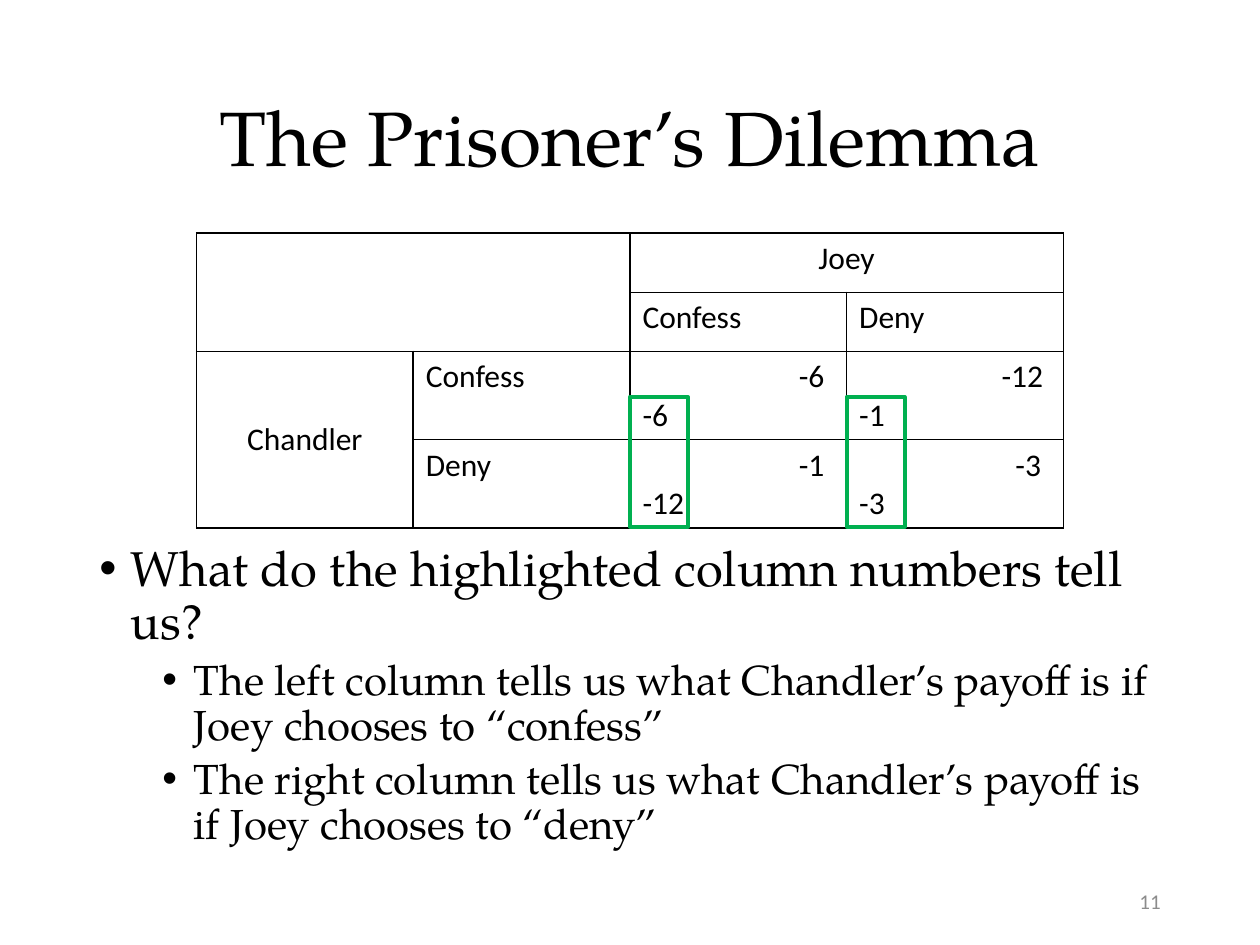
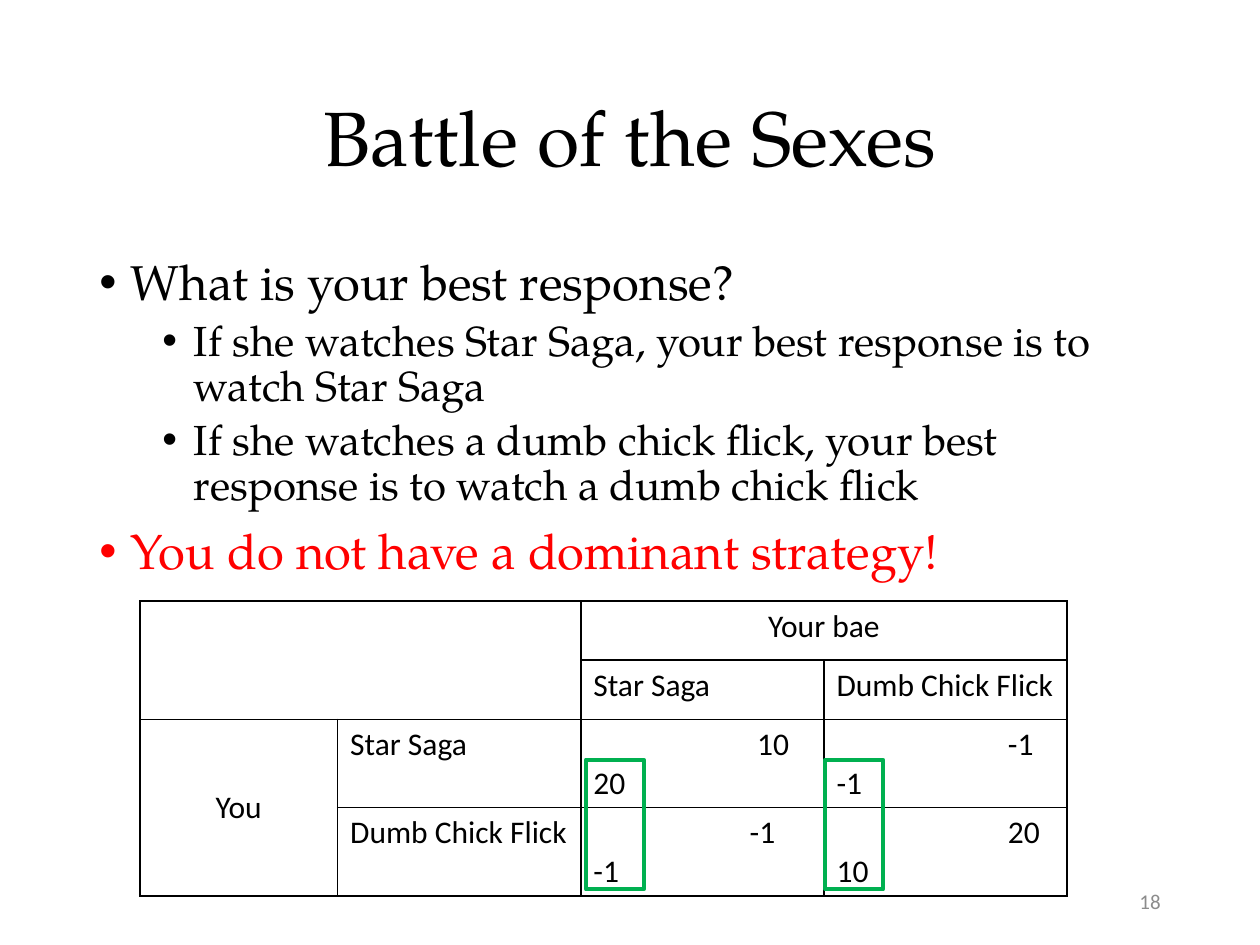
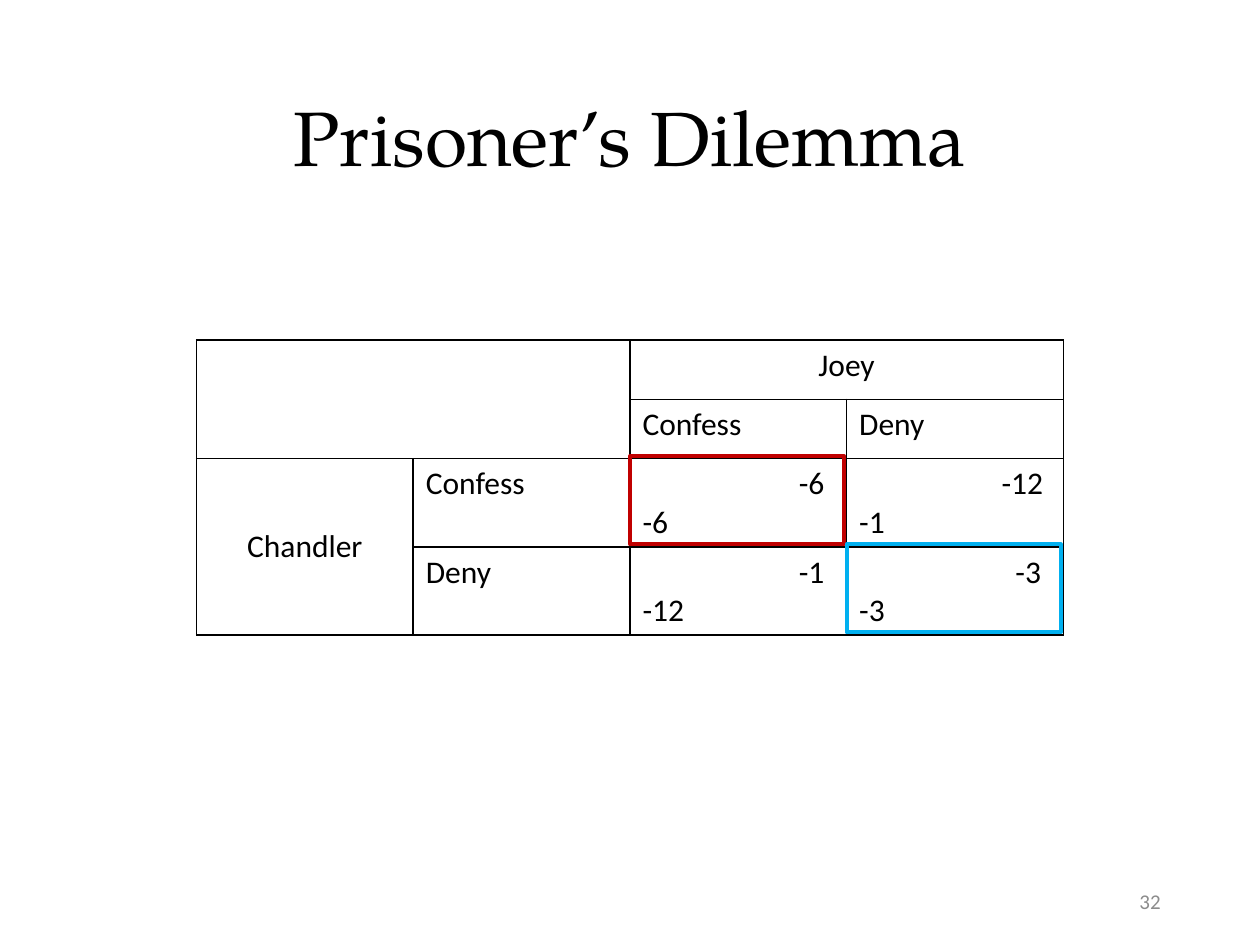
from lxml import etree
from pptx import Presentation
from pptx.dml.color import RGBColor
from pptx.enum.shapes import MSO_SHAPE
from pptx.enum.text import MSO_ANCHOR, PP_ALIGN
from pptx.oxml.ns import qn
from pptx.util import Inches, Pt

LEFT, CENTER, RIGHT = PP_ALIGN.LEFT, PP_ALIGN.CENTER, PP_ALIGN.RIGHT
TOP, MIDDLE = MSO_ANCHOR.TOP, MSO_ANCHOR.MIDDLE
RECTANGLE = MSO_SHAPE.RECTANGLE

# Shared look
SERIF, SANS = "TeX Gyre Pagella", "Calibri"
BLACK, GRAY, RED = "000000", "8C8C8C", "FF0000"
GREEN, DARK_RED, SKY = "00B050", "C00000", "00B0F0"
WIDTH, HEIGHT = 10, 7.5
MARGIN = 0.69
CONTENT_WIDTH = WIDTH - 2 * MARGIN
BODY_BOTTOM = 6.76
ROW_HEIGHTS = [0.47, 0.47, 0.67, 0.67]
# Text size and space before, by bullet level
LEVELS = [(28, 10), (24, 5)]

# Payoffs: (column player's, its indent, row player's)
PRISONERS = {
    "players": ("Chandler", "Joey"),
    "choices": ("Confess", "Deny"),
    "payoffs": [[("-6", 1.24, "-6"), ("-12", 1.13, "-1")],
                [("-1", 1.24, "-12"), ("-3", 1.24, "-3")]],
    "left": 1.56,
    "columns": [1.72, 1.72, 1.72, 1.72],
}
MOVIES = {
    "players": ("You", "Your bae"),
    "choices": ("Star Saga", "Dumb Chick Flick"),
    "payoffs": [[("10", 1.3, "20"), ("-1", 1.36, "-1")],
                [("-1", 1.24, "-1"), ("20", 1.36, "10")]],
    "left": 1.11,
    "columns": [1.57, 1.93, 1.93, 1.93],
}

COLUMN_MARK = (0.46, 1.03)
CELL_MARK = (1.7, 0.7)

# Bullets: (level, text, colour); marks: (column, inset, drop, size, colour)
SLIDES = [
    {
        "title": "The Prisoner’s Dilemma",
        "number": 11,
        "body_top": 4.27,
        "bullets": [
            (0, "What do the highlighted column numbers tell us?", BLACK),
            (1, "The left column tells us what Chandler’s payoff is if Joey "
                "chooses to “confess”", BLACK),
            (1, "The right column tells us what Chandler’s payoff is if Joey "
                "chooses to “deny”", BLACK),
        ],
        "game": PRISONERS,
        "game_top": 1.85,
        "marks": [(2, 0, 1.3, COLUMN_MARK, GREEN),
                  (3, 0, 1.3, COLUMN_MARK, GREEN)],
    },
    {
        "title": "Battle of the Sexes",
        "number": 18,
        "body_top": 2,
        "bullets": [
            (0, "What is your best response?", BLACK),
            (1, "If she watches Star Saga, your best response is to watch "
                "Star Saga", BLACK),
            (1, "If she watches a dumb chick flick, your best response is to "
                "watch a dumb chick flick", BLACK),
            (0, "You do not have a dominant strategy!", RED),
        ],
        "game": MOVIES,
        "game_top": 4.77,
        "marks": [(2, 0.04, 1.26, COLUMN_MARK, GREEN),
                  (3, 0.01, 1.26, COLUMN_MARK, GREEN)],
    },
    {
        "title": "Prisoner’s Dilemma",
        "number": 32,
        "bullets": [],
        "game": PRISONERS,
        "game_top": 2.7,
        "marks": [(2, 0, 0.92, CELL_MARK, DARK_RED),
                  (3, 0, 1.62, CELL_MARK, SKY)],
    },
]


def color(value):
    return RGBColor.from_string(value)


def write(frame, text, size=18, font=SANS, fill=BLACK, align=LEFT,
          spacing=None, before=None, indent=0, bullet=None, first=True):
    """Write one paragraph in a text frame."""
    para = frame.paragraphs[0] if first else frame.add_paragraph()
    para.alignment = align
    if spacing:
        para.line_spacing = spacing
    if before and not first:
        para.space_before = Pt(before)
    properties = para._p.get_or_add_pPr()
    if indent:
        properties.set("marL", str(Inches(indent)))
    if bullet:
        properties.set("indent", str(Inches(-0.25)))
        etree.SubElement(properties, qn("a:buFont"), typeface="Arial")
        etree.SubElement(properties, qn("a:buChar"), char=bullet)
    span = para.add_run()
    span.text = text
    span.font.size = Pt(size)
    span.font.name = font
    span.font.color.rgb = color(fill)
    return para


def add_box(page, left, top, width, height, anchor=TOP):
    box = page.shapes.add_textbox(Inches(left), Inches(top),
                                  Inches(width), Inches(height))
    box.text_frame.word_wrap = True
    box.text_frame.vertical_anchor = anchor
    return box.text_frame


def add_body(page, top, bullets):
    frame = add_box(page, MARGIN, top, CONTENT_WIDTH, BODY_BOTTOM - top)
    for index, (level, text, fill) in enumerate(bullets):
        size, before = LEVELS[level]
        para = write(frame, text, size=size, font=SERIF, fill=fill,
                     spacing=0.9, before=before, indent=0.25 + 0.5 * level,
                     bullet="•", first=index == 0)
        para.level = level


def outline_cell(cell):
    """Clear the fill and draw a thin black line on all four sides."""
    properties = cell._tc.get_or_add_tcPr()
    for side in ("a:lnL", "a:lnR", "a:lnT", "a:lnB"):
        line = etree.SubElement(properties, qn(side), w=str(Pt(1)))
        solid = etree.SubElement(line, qn("a:solidFill"))
        etree.SubElement(solid, qn("a:srgbClr"), val=BLACK)
    cell.fill.background()


def add_game(page, game, top):
    columns = game["columns"]
    table = page.shapes.add_table(
        len(ROW_HEIGHTS), len(columns), Inches(game["left"]), Inches(top),
        Inches(sum(columns)), Inches(sum(ROW_HEIGHTS))).table
    table.first_row = table.horz_banding = False
    for column, width in zip(table.columns, columns):
        column.width = Inches(width)
    for row, height in zip(table.rows, ROW_HEIGHTS):
        row.height = Inches(height)
    for cell in table.iter_cells():
        outline_cell(cell)

    # Corner and player headings
    table.cell(0, 0).merge(table.cell(1, 1))
    table.cell(0, 2).merge(table.cell(0, 3))
    table.cell(2, 0).merge(table.cell(3, 0))
    row_player, column_player = game["players"]
    write(table.cell(0, 2).text_frame, column_player, align=CENTER)
    write(table.cell(2, 0).text_frame, row_player, align=CENTER)
    table.cell(2, 0).vertical_anchor = MIDDLE

    # Choices and payoffs
    for index, choice in enumerate(game["choices"], start=2):
        write(table.cell(1, index).text_frame, choice)
        write(table.cell(index, 1).text_frame, choice)
    for row, payoffs in enumerate(game["payoffs"], start=2):
        for column, (theirs, indent, own) in enumerate(payoffs, start=2):
            frame = table.cell(row, column).text_frame
            write(frame, theirs, indent=indent)
            write(frame, own, first=False)


def add_mark(page, left, top, size, line):
    mark = page.shapes.add_shape(RECTANGLE, Inches(left), Inches(top),
                                 *map(Inches, size))
    mark.shadow.inherit = False
    mark.fill.background()
    mark.line.color.rgb = color(line)
    mark.line.width = Pt(2.25)


def add_page(deck, content):
    page = deck.slides.add_slide(deck.slide_layouts[6])
    write(add_box(page, MARGIN, 0.4, CONTENT_WIDTH, 1.45, MIDDLE),
          content["title"], size=44, font=SERIF, align=CENTER, spacing=0.9)
    if content["bullets"]:
        add_body(page, content["body_top"], content["bullets"])
    game, top = content["game"], content["game_top"]
    add_game(page, game, top)
    for column, inset, drop, size, line in content["marks"]:
        left = game["left"] + sum(game["columns"][:column]) + inset
        add_mark(page, left, top + drop, size, line)
    write(add_box(page, WIDTH - MARGIN - 2.25, 6.95, 2.25, 0.4, MIDDLE),
          str(content["number"]), size=12, fill=GRAY, align=RIGHT)


def main():
    deck = Presentation()
    deck.slide_width, deck.slide_height = Inches(WIDTH), Inches(HEIGHT)
    for content in SLIDES:
        add_page(deck, content)
    deck.save("out.pptx")


if __name__ == "__main__":
    main()
